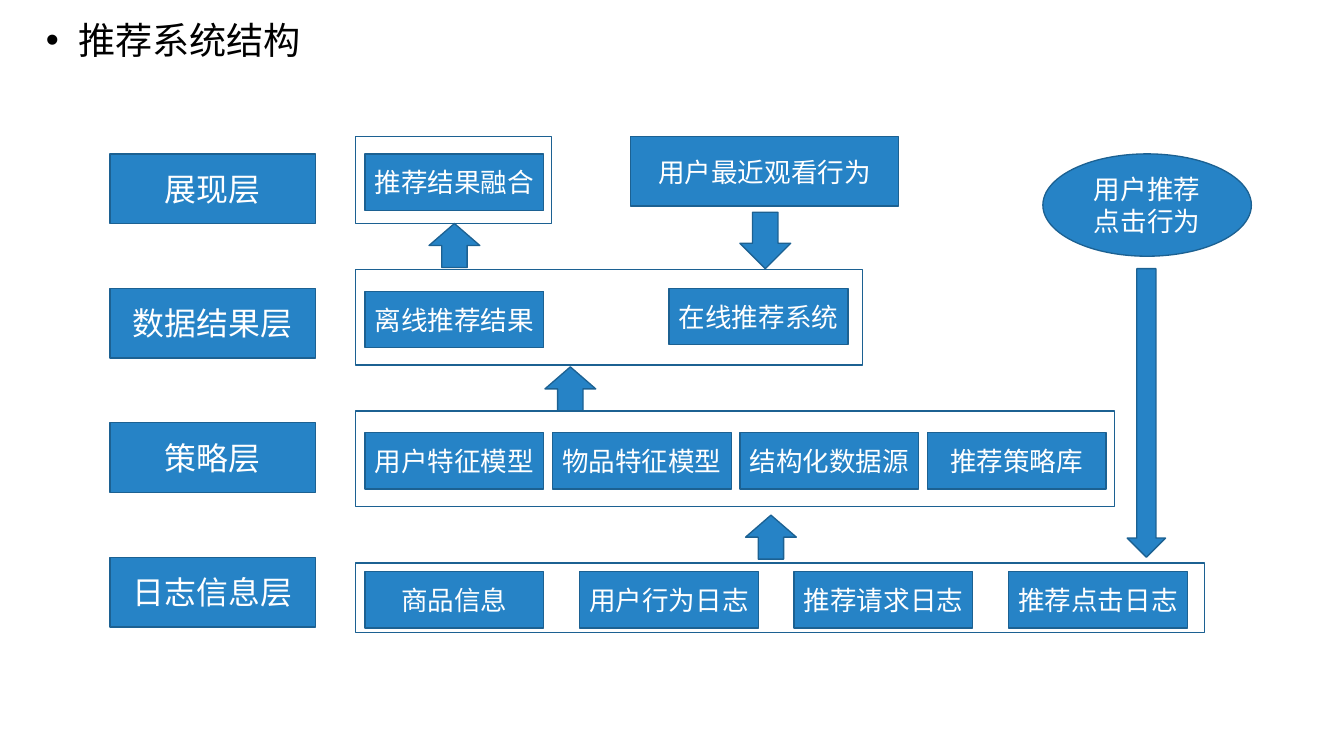
import pptx
import pptx.util
import pptx.dml.color
import pptx.enum.shapes
import pptx.enum.text
import pptx.oxml.ns
from lxml import etree

Cm = pptx.util.Cm
Pt = pptx.util.Pt
SHAPES = pptx.enum.shapes.MSO_SHAPE
COLORS = {"fill": "2683C6", "edge": "1C6192", "paper": "FFFFFF", "title": "000000"}
FONT = "Noto Sans CJK SC"
ITEM_WIDTH, ITEM_HEIGHT = 4.75, 1.5

LAYERS = [
    {"name": "展现层", "frame": (9.45, 3.63, 5.21, 2.31), "inset": 0.46,
     "pitch": 0, "rise": 0, "items": ["推荐结果融合"]},
    {"name": "数据结果层", "frame": (9.45, 7.16, 13.46, 2.54), "inset": 0.58,
     "pitch": 8.08, "rise": 0.08, "items": ["离线推荐结果", "在线推荐系统"]},
    {"name": "策略层", "frame": (9.45, 10.92, 20.17, 2.54), "inset": 0.58,
     "pitch": 4.98, "rise": 0,
     "items": ["用户特征模型", "物品特征模型", "结构化数据源", "推荐策略库"]},
    {"name": "日志信息层", "frame": (9.45, 14.96, 22.56, 1.85), "inset": 0.23,
     "pitch": 5.7, "rise": 0,
     "items": ["商品信息", "用户行为日志", "推荐请求日志", "推荐点击日志"]},
]

FLOWS = [
    (SHAPES.UP_ARROW, (19.81, 13.69, 1.35, 1.17)),
    (SHAPES.UP_ARROW, (14.48, 9.75, 1.35, 1.17)),
    (SHAPES.UP_ARROW, (11.4, 5.94, 1.35, 1.17)),
    (SHAPES.DOWN_ARROW, (19.66, 5.64, 1.35, 1.5)),
    (SHAPES.DOWN_ARROW, (29.95, 7.14, 1.02, 7.67)),
]


def rgb(name):
    return pptx.dml.color.RGBColor.from_string(COLORS[name])


def add_words(paragraph, words, size, color):
    run = paragraph.add_run()
    run.text = words
    run.font.size = Pt(size)
    run.font.name = FONT
    run.font.color.rgb = rgb(color)
    east_asian = etree.SubElement(run.font._element, pptx.oxml.ns.qn("a:ea"))
    east_asian.set("typeface", FONT)


def add_block(slide, kind, box, words="", size=20, fill="fill", margin=0.25):
    block = slide.shapes.add_shape(kind, *map(Cm, box))
    block.shadow.inherit = False
    block.fill.solid()
    block.fill.fore_color.rgb = rgb(fill)
    block.line.color.rgb = rgb("edge")
    block.line.width = Pt(1)
    if words:
        frame = block.text_frame
        frame.word_wrap = True
        frame.margin_left = frame.margin_right = Cm(margin)
        frame.vertical_anchor = pptx.enum.text.MSO_ANCHOR.MIDDLE
        paragraph = frame.paragraphs[0]
        paragraph.alignment = pptx.enum.text.PP_ALIGN.CENTER
        add_words(paragraph, words, size, "paper")


def add_title(slide, box):
    frame = slide.shapes.add_textbox(*map(Cm, box)).text_frame
    frame.word_wrap = True
    frame.margin_left = Cm(0.56)
    frame.margin_right = frame.margin_top = frame.margin_bottom = 0
    frame.vertical_anchor = pptx.enum.text.MSO_ANCHOR.MIDDLE
    paragraph = frame.paragraphs[0]
    paragraph.line_spacing = 0.9
    add_words(paragraph, "推荐系统结构", 28, "title")
    properties = paragraph._p.get_or_add_pPr()
    properties.set("marL", str(Cm(0.86)))
    properties.set("indent", str(-Cm(0.86)))
    bullet_font = etree.SubElement(properties, pptx.oxml.ns.qn("a:buFont"))
    bullet_font.set("typeface", "Arial")
    bullet = etree.SubElement(properties, pptx.oxml.ns.qn("a:buChar"))
    bullet.set("char", "•")


def add_layer_names(slide, box):
    left, top, width, height = box
    name_height = 1.85
    pitch = (height - name_height) / (len(LAYERS) - 1)
    for row, layer in enumerate(LAYERS):
        name_box = (left, top + row * pitch, width, name_height)
        add_block(slide, SHAPES.RECTANGLE, name_box, layer["name"], 24)


def add_layer(slide, layer, box):
    left, top, width, height = box
    add_block(slide, SHAPES.RECTANGLE, box, fill="paper")
    for column, item in enumerate(layer["items"]):
        item_box = (left + 0.25 + column * layer["pitch"],
                    top + layer["inset"] - column * layer["rise"],
                    ITEM_WIDTH, ITEM_HEIGHT)
        add_block(slide, SHAPES.RECTANGLE, item_box, item, margin=0.1)


def main():
    deck = pptx.Presentation()
    deck.slide_width, deck.slide_height = Cm(35.71), Cm(20.09)
    slide = deck.slides.add_slide(deck.slide_layouts[6])
    add_title(slide, (0.66, 0.58, 8.81, 1.07))
    add_layer_names(slide, (2.92, 4.09, 5.46, 12.57))
    for layer in LAYERS:
        add_layer(slide, layer, layer["frame"])
    add_block(slide, SHAPES.RECTANGLE, (16.76, 3.63, 7.11, 1.85), "用户最近观看行为")
    for arrow, box in FLOWS:
        add_block(slide, arrow, box)
    add_block(slide, SHAPES.OVAL, (27.71, 4.09, 5.54, 2.72), "用户推荐点击行为")
    deck.save("out.pptx")


if __name__ == "__main__":
    main()
